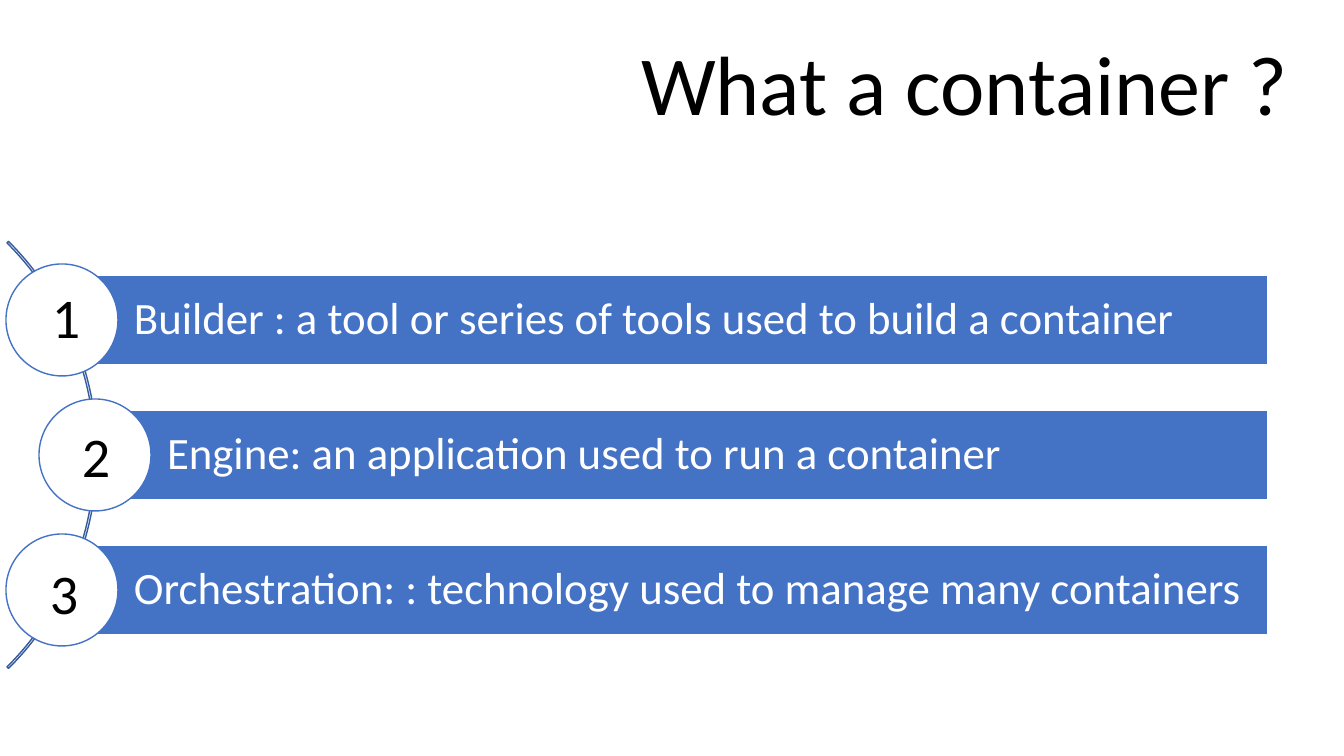
from pptx import Presentation
from pptx.dml.color import RGBColor as RGB
from pptx.enum.shapes import MSO_SHAPE as Shape
from pptx.enum.text import MSO_ANCHOR as Anchor, MSO_AUTO_SIZE as Auto, PP_ALIGN as Align
from pptx.util import Inches, Pt

SCALE = 9071.43


def px(count):
    return round(count * SCALE)


def tint(code):
    return RGB.from_string(code)


def write(frame, text, size, color, font="Calibri", anchor=Anchor.TOP,
          inset=(10, 5, 10, 5), wrap=True, space=1.0):
    frame.auto_size = Auto.NONE
    frame.word_wrap = wrap
    frame.vertical_anchor = anchor
    (frame.margin_left, frame.margin_top,
     frame.margin_right, frame.margin_bottom) = map(px, inset)
    para = frame.paragraphs[0]
    para.alignment = Align.LEFT
    para.line_spacing = space
    run = para.add_run()
    run.text = text
    run.font.name = font
    run.font.size = Pt(size)
    run.font.color.rgb = tint(color)


class Deck:
    blue, edge, white, black = "4472C4", "365B9D", "FFFFFF", "000000"

    def __init__(self):
        self.file = Presentation()
        self.file.slide_width = Inches(13.33)
        self.file.slide_height = Inches(7.5)
        self.slide = self.file.slides.add_slide(self.file.slide_layouts[5])

    def title(self, text, box):
        head = self.slide.shapes.title
        head.left, head.top, head.width, head.height = map(px, box)
        write(head.text_frame, text, 60, self.black)

    def shape(self, kind, box, fill, line):
        item = self.slide.shapes.add_shape(kind, *map(px, box))
        item.shadow.inherit = False
        if fill:
            item.fill.solid()
            item.fill.fore_color.rgb = tint(fill)
        else:
            item.fill.background()
        item.line.color.rgb = tint(line)
        item.line.width = Pt(1)
        return item

    def arc(self, box):
        curve = self.shape(Shape.BLOCK_ARC, box, None, self.edge)
        for place, value in enumerate((189, 27, 0.0036)):
            curve.adjustments[place] = value

    def bar(self, text, box):
        item = self.shape(Shape.RECTANGLE, box, self.blue, self.white)
        write(item.text_frame, text, 32, self.white, anchor=Anchor.MIDDLE,
              inset=(72, 9, 9, 9), space=0.9)

    def disc(self, mid_x, mid_y, size):
        box = (mid_x - size // 2, mid_y - size // 2, size, size)
        self.shape(Shape.OVAL, box, self.white, self.blue)

    def label(self, text, box):
        item = self.slide.shapes.add_textbox(*map(px, box))
        write(item.text_frame, text, 40, self.black)


def main():
    deck = Deck()
    deck.title("What a container ?", (631, 26, 725, 112))
    deck.arc((-507, 153, 604, 604))

    right, top, step, height = 1267, 275, 135, 90
    rows = [
        ("Builder : a tool or series of tools used to build a container", 62, (42, 278)),
        ("Engine: an application used to run a container", 95, (72, 416)),
        ("Orchestration: : technology used to manage many containers", 62, (40, 553)),
    ]
    for count, (text, left, spot) in enumerate(rows):
        row = top + count * step
        deck.bar(text, (left, row, right - left, height))
        deck.disc(left, row + height // 2, 112)
        deck.label(str(count + 1), (*spot, 75, 78))

    deck.file.save("out.pptx")


if __name__ == "__main__":
    main()
